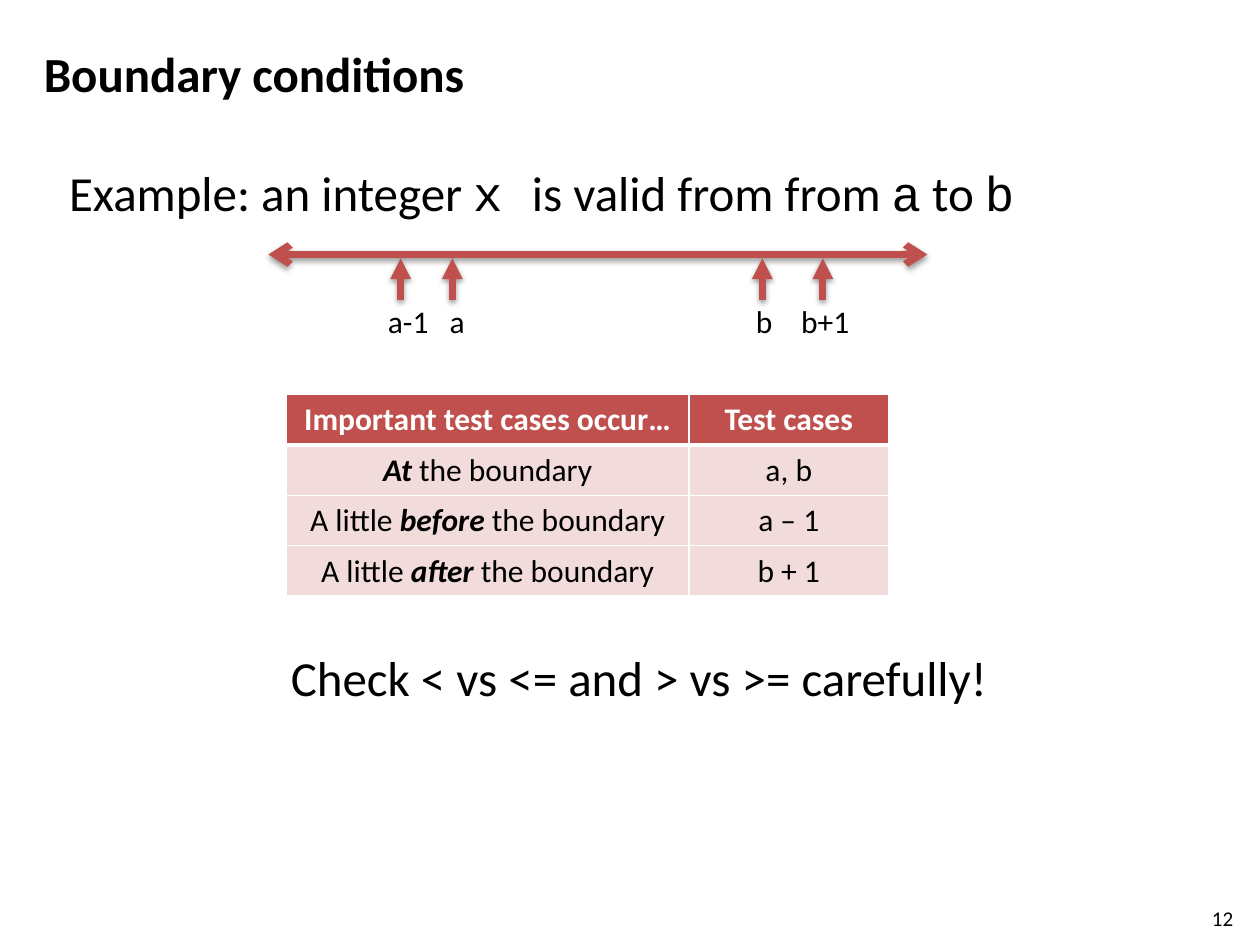
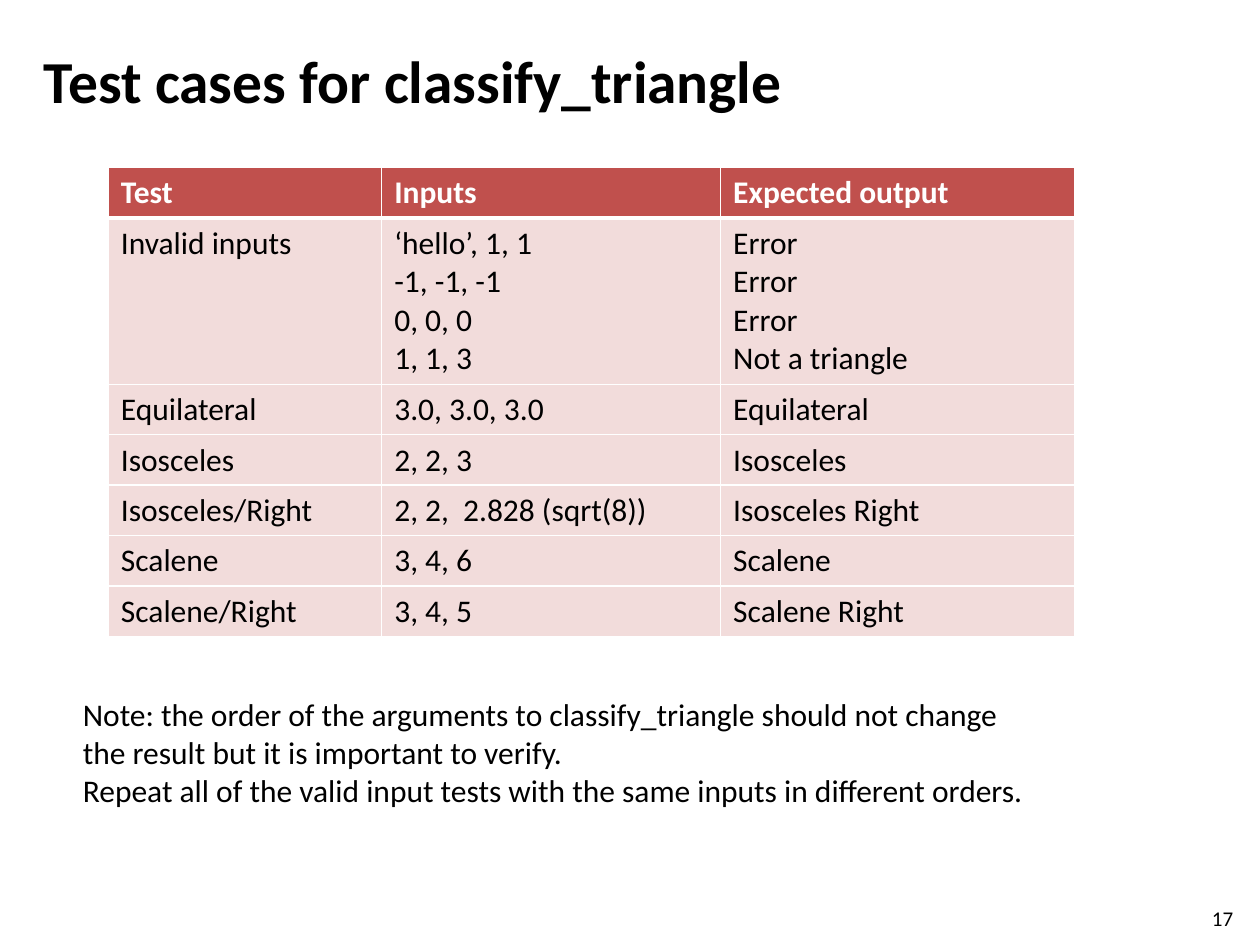
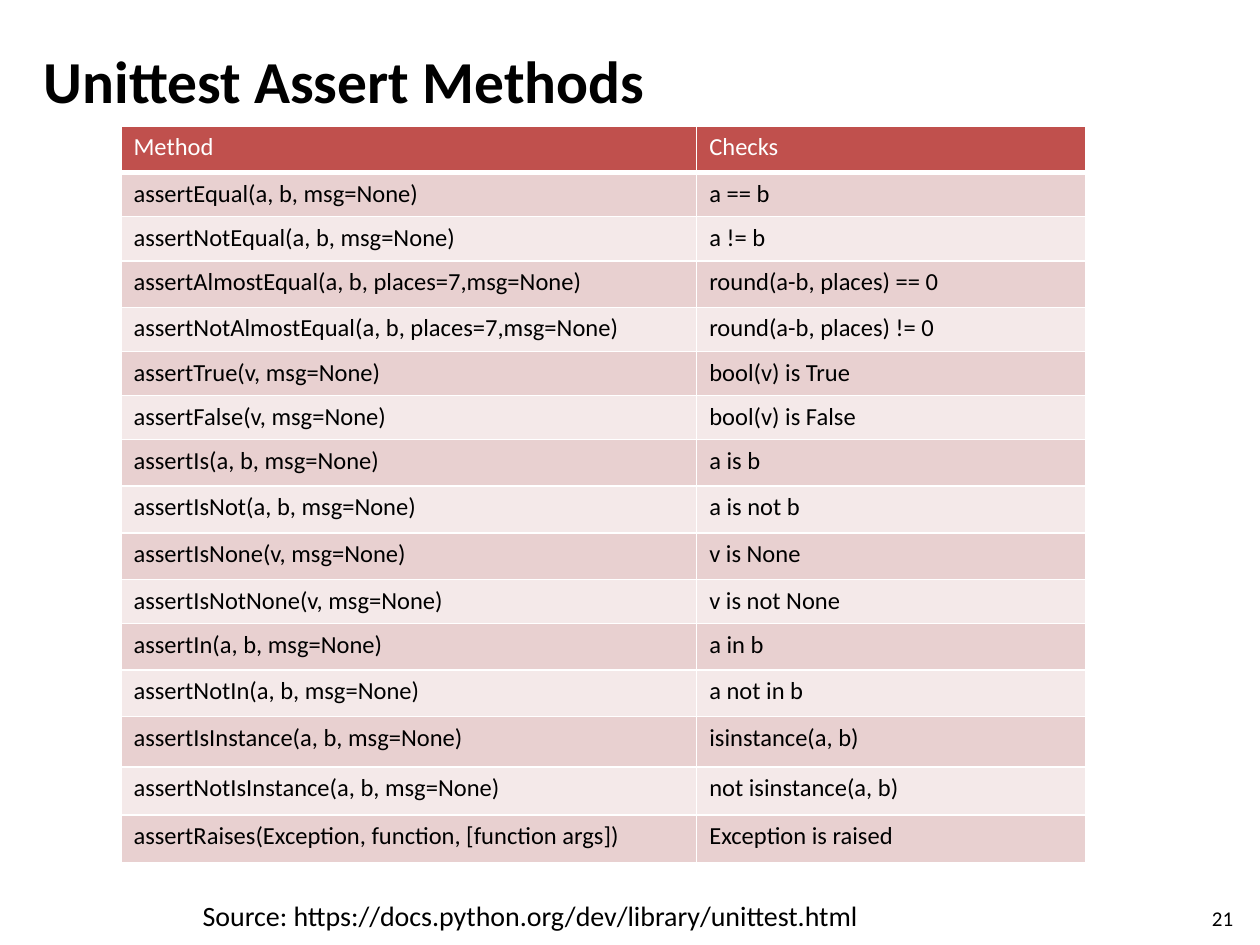
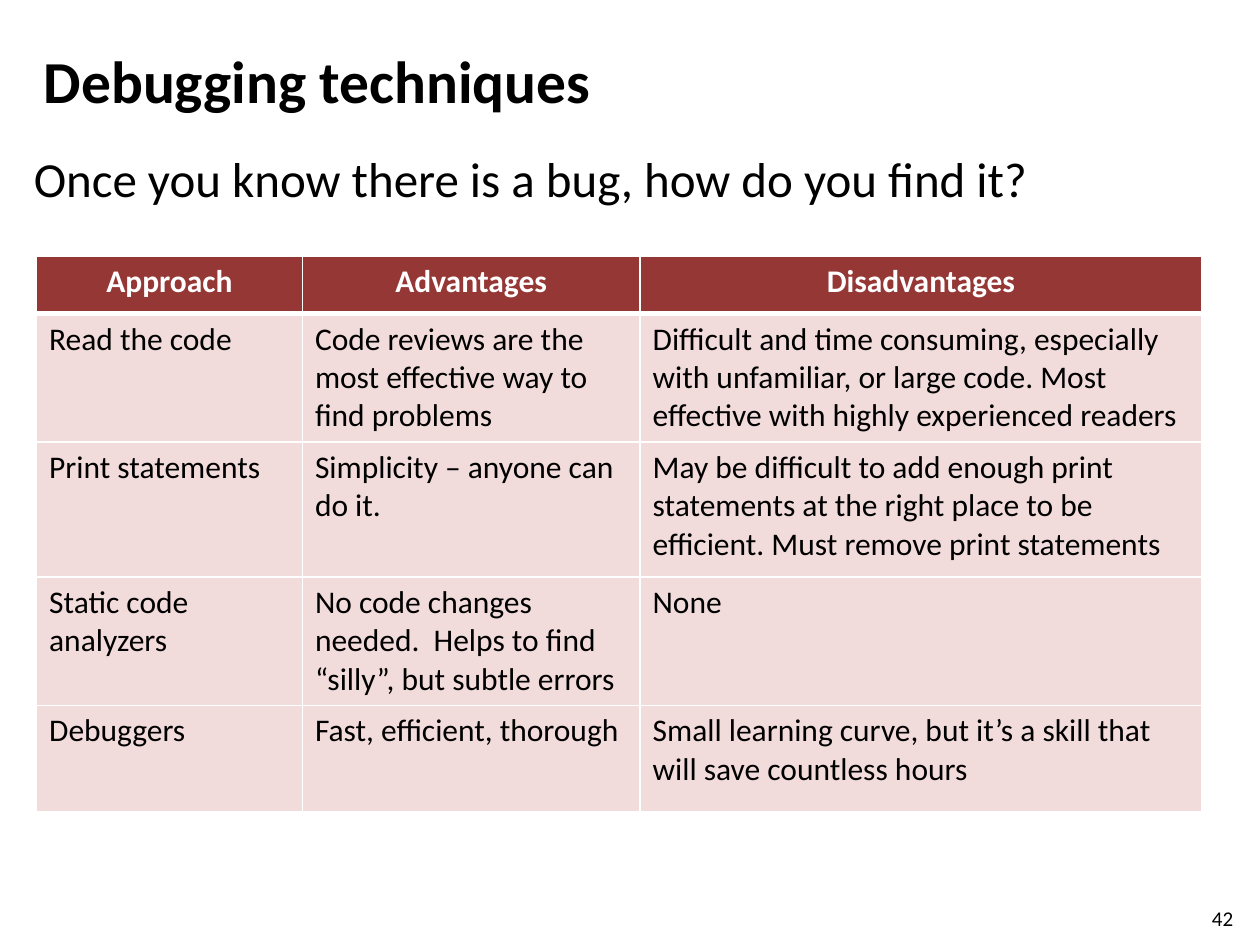
from lxml import etree
from pptx import Presentation
from pptx.dml.color import RGBColor
from pptx.enum.shapes import MSO_CONNECTOR
from pptx.enum.text import PP_ALIGN
from pptx.oxml.ns import qn
from pptx.util import Inches, Pt

LEFT, CENTER = PP_ALIGN.LEFT, PP_ALIGN.CENTER
STRAIGHT = MSO_CONNECTOR.STRAIGHT

BLACK = RGBColor(0x00, 0x00, 0x00)
WHITE = RGBColor(0xFF, 0xFF, 0xFF)
RED = RGBColor(0xC0, 0x50, 0x4D)
DARK_RED = RGBColor(0x95, 0x37, 0x35)
PINK = RGBColor(0xF2, 0xDC, 0xDB)
BAND_DARK = RGBColor(0xE8, 0xD0, 0xD0)
BAND_LIGHT = RGBColor(0xF4, 0xE9, 0xE9)

BODY_FONT = "Calibri"
CODE_FONT = "Courier New"
CODE = {"name": CODE_FONT}
STRONG = {"bold": True, "italic": True}


def write(frame, text, size, color=BLACK, bold=False, align=LEFT, accent=None, after=None):
    for index, line in enumerate(text.split("\n")):
        para = frame.add_paragraph() if index else frame.paragraphs[0]
        para.alignment = align
        if after:
            para.space_after = Pt(after)
        para.font.name = BODY_FONT
        para.font.size = Pt(size)
        para.font.bold = bold
        para.font.color.rgb = color
        pieces = line.split("*") if accent else [line]
        for position, piece in enumerate(pieces):
            if not piece:
                continue
            span = para.add_run()
            span.text = piece
            if position % 2:
                for name, value in accent.items():
                    setattr(span.font, name, value)


def add_text(page, box, text, size, wrap=True, **style):
    frame = page.shapes.add_textbox(*map(Inches, box)).text_frame
    frame.word_wrap = wrap
    write(frame, text, size, **style)
    return frame


def add_page(deck, title, number, title_size=34):
    page = deck.slides.add_slide(deck.slide_layouts[6])
    add_text(page, (0.25, 0.3, 8.67, 0.7), title, title_size, bold=True)
    add_text(page, (9.52, 7.14, 0.4, 0.24), str(number), 12)
    return page


def add_child(parent, tag, **attributes):
    return etree.SubElement(parent, qn(tag), {k: str(v) for k, v in attributes.items()})


def set_borders(cell, widths):
    properties = cell._tc.get_or_add_tcPr()
    for index, (side, width) in enumerate(widths.items()):
        line = etree.Element(qn(f"a:ln{side}"), w=str(Pt(width)))
        add_child(add_child(line, "a:solidFill"), "a:srgbClr", val=WHITE)
        properties.insert(index, line)


def add_grid(page, left, top, widths, heights, rows, size=18, header_fill=RED,
             bands=(PINK,), header_bold=True, header_align=LEFT, body_align=LEFT):
    box = map(Inches, (left, top, sum(widths), sum(heights)))
    table = page.shapes.add_table(len(rows), len(widths), *box).table
    table.horz_banding = False
    for column, width in zip(table.columns, widths):
        column.width = Inches(width)
    for index, (row, height, texts) in enumerate(zip(table.rows, heights, rows)):
        row.height = Inches(height)
        header = index == 0
        for cell, text in zip(row.cells, texts):
            cell.fill.solid()
            cell.fill.fore_color.rgb = header_fill if header else bands[(index - 1) % len(bands)]
            set_borders(cell, {"L": 1, "R": 1, "T": 3 if index == 1 else 1, "B": 3 if header else 1})
            write(cell.text_frame, text, size,
                  color=WHITE if header else BLACK,
                  bold=header and header_bold,
                  align=header_align if header else body_align,
                  accent=STRONG)


def add_arrow(page, start, end, head, tail=None):
    arrow = page.shapes.add_connector(STRAIGHT, *map(Inches, (*start, *end)))
    arrow.line.color.rgb = RED
    arrow.line.width = Pt(4)
    line = arrow.line._get_or_add_ln()
    add_child(line, "a:headEnd", type=head)
    if tail:
        add_child(line, "a:tailEnd", type=tail)
    effects = add_child(arrow._element.spPr, "a:effectLst")
    shadow = add_child(effects, "a:outerShdw", blurRad=Pt(3.1), dist=Pt(1.6),
                       dir=90 * 60000, rotWithShape=0)
    add_child(add_child(shadow, "a:srgbClr", val=BLACK), "a:alpha", val=38000)


def add_number_line(page, left, top, width):
    add_arrow(page, (left, top), (left + width, top), "arrow", "arrow")
    for offset in (1.05, 1.46, 3.92, 4.4):
        x = left + offset
        add_arrow(page, (x, top + 0.03), (x, top + 0.36), "triangle")
    labels = add_text(page, (left + 0.85, top + 0.33, 4, 0.51), "a-1\ta\tb\tb+1", 18)
    tabs = etree.Element(qn("a:tabLst"))
    for position in (0.49, 2.92, 3.28):
        add_child(tabs, "a:tab", pos=Inches(position), algn="l")
    properties = labels.paragraphs[0]._p.get_or_add_pPr()
    properties.insert(0, tabs)


def build_boundary_page(deck):
    page = add_page(deck, "Boundary conditions", 12, title_size=28)
    add_text(page, (0.45, 1.24, 8.54, 1.85),
             "Example: an integer *x *is valid from from *a* to *b*", 28, accent=CODE, after=12)
    add_number_line(page, 2.13, 2.02, 5.23)
    rows = [
        ("Important test cases occur…", "Test cases"),
        ("*At* the boundary", "a, b"),
        ("A little *before* the boundary", "a – 1"),
        ("A little *after* the boundary", "b + 1"),
    ]
    add_grid(page, 2.27, 3.13, (3.2, 1.58), [0.4] * 4, rows,
             header_align=CENTER, body_align=CENTER)
    add_text(page, (0.8, 5.09, 8.54, 1.85), "Check < vs <= and > vs >= carefully!", 28,
             align=CENTER, after=12)


def build_triangle_page(deck):
    page = add_page(deck, "Test cases for classify_triangle", 17)
    rows = [
        ("Test", "Inputs", "Expected output"),
        ("Invalid inputs", "‘hello’, 1, 1\n-1, -1, -1\n0, 0, 0\n1, 1, 3",
         "Error\nError\nError\nNot a triangle"),
        ("Equilateral", "3.0, 3.0, 3.0", "Equilateral"),
        ("Isosceles", "2, 2, 3", "Isosceles"),
        ("Isosceles/Right", "2, 2,  2.828 (sqrt(8))", "Isosceles Right"),
        ("Scalene", "3, 4, 6", "Scalene"),
        ("Scalene/Right", "3, 4, 5", "Scalene Right"),
    ]
    add_grid(page, 0.86, 1.33, (2.17, 2.69, 2.81), [0.4, 1.32] + [0.4] * 5, rows)
    add_text(page, (0.56, 5.47, 7.77, 1.01),
             "Note: the order of the arguments to classify_triangle should not change "
             "the result but it is important to verify.\n"
             "Repeat all of the valid input tests with the same inputs in different orders.", 18)


def build_assert_page(deck):
    page = add_page(deck, "Unittest Assert Methods", 21)
    rows = [
        ("Method", "Checks"),
        ("assertEqual(a, b, msg=None)", "a == b"),
        ("assertNotEqual(a, b, msg=None)", "a != b"),
        ("assertAlmostEqual(a, b, places=7,msg=None)", "round(a-b, places) == 0"),
        ("assertNotAlmostEqual(a, b, places=7,msg=None)", "round(a-b, places) != 0"),
        ("assertTrue(v, msg=None)", "bool(v) is True"),
        ("assertFalse(v, msg=None)", "bool(v) is False"),
        ("assertIs(a, b, msg=None)", "a is b"),
        ("assertIsNot(a, b, msg=None)", "a is not b"),
        ("assertIsNone(v, msg=None)", "v is None"),
        ("assertIsNotNone(v, msg=None)", "v is not None"),
        ("assertIn(a, b, msg=None)", "a in b"),
        ("assertNotIn(a, b, msg=None)", "a not in b"),
        ("assertIsInstance(a, b, msg=None)", "isinstance(a, b)"),
        ("assertNotIsInstance(a, b, msg=None)", "not isinstance(a, b)"),
        ("assertRaises(Exception, function, [function args])", "Exception is raised"),
    ]
    heights = (0.37, 0.35, 0.35, 0.37, 0.35, 0.35, 0.35, 0.37,
               0.37, 0.37, 0.35, 0.37, 0.37, 0.4, 0.38, 0.38)
    add_grid(page, 0.96, 1, (4.57, 3.09), heights, rows, size=14,
             bands=(BAND_DARK, BAND_LIGHT), header_bold=False)
    add_text(page, (1.51, 7.08, 5.47, 0.37),
             "Source: https://docs.python.org/dev/library/unittest.html", 16, wrap=False)


def build_debugging_page(deck):
    page = add_page(deck, "Debugging techniques", 42)
    add_text(page, (0.17, 1.13, 9.3, 0.8),
             "Once you know there is a bug, how do you find it?", 28, after=12)
    rows = [
        ("Approach", "Advantages", "Disadvantages"),
        ("Read the code", "Code reviews are the most effective way to find problems",
         "Difficult and time consuming, especially with unfamiliar, or large code. "
         "Most effective with highly experienced readers"),
        ("Print statements", "Simplicity – anyone can do it.",
         "May be difficult to add enough print statements at the right place to be "
         "efficient. Must remove print statements"),
        ("Static code analyzers",
         "No code changes needed.  Helps to find “silly”, but subtle errors", "None"),
        ("Debuggers", "Fast, efficient, thorough",
         "Small learning curve, but it’s a skill that will save countless hours"),
    ]
    add_grid(page, 0.29, 2.03, (2.11, 2.68, 4.46), (0.46, 1.02, 1.07, 1.02, 0.84), rows,
             header_fill=DARK_RED, header_align=CENTER)


def main():
    deck = Presentation()
    deck.slide_width, deck.slide_height = Inches(10), Inches(7.5)
    build_boundary_page(deck)
    build_triangle_page(deck)
    build_assert_page(deck)
    build_debugging_page(deck)
    deck.save("out.pptx")


if __name__ == "__main__":
    main()
